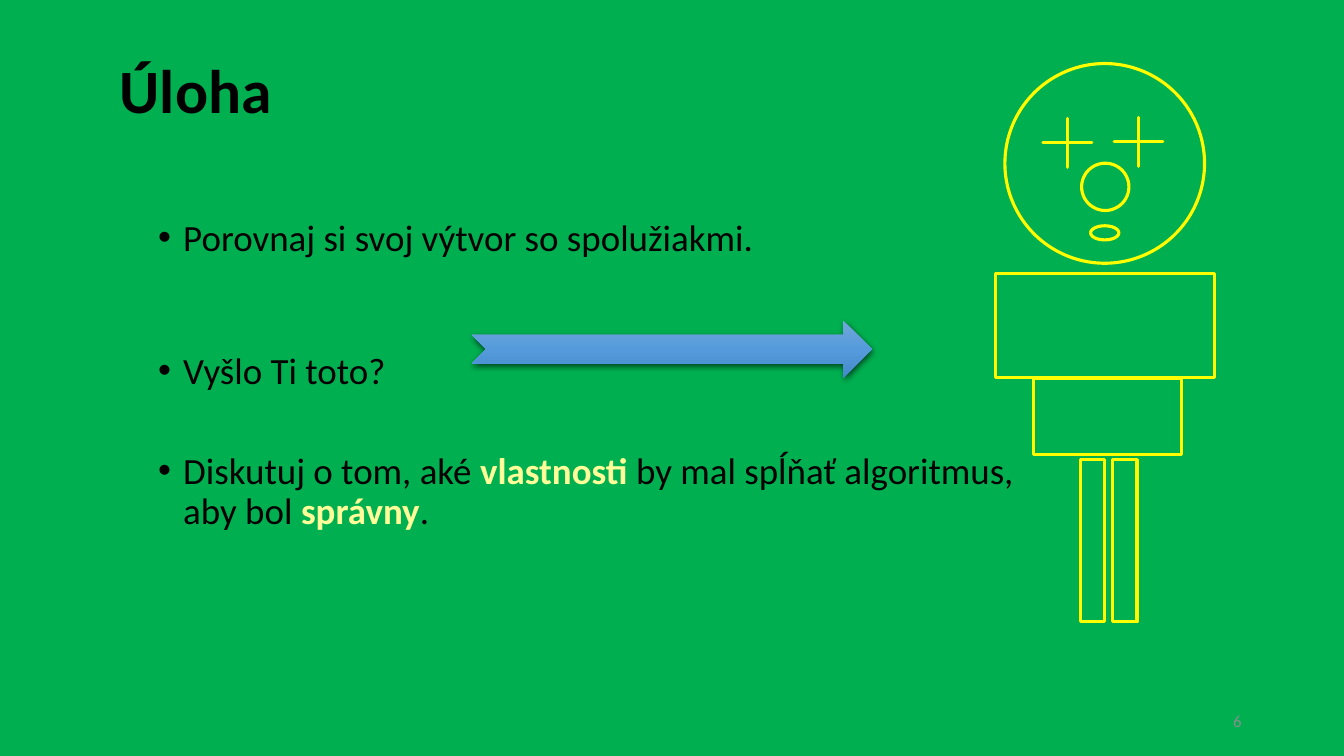
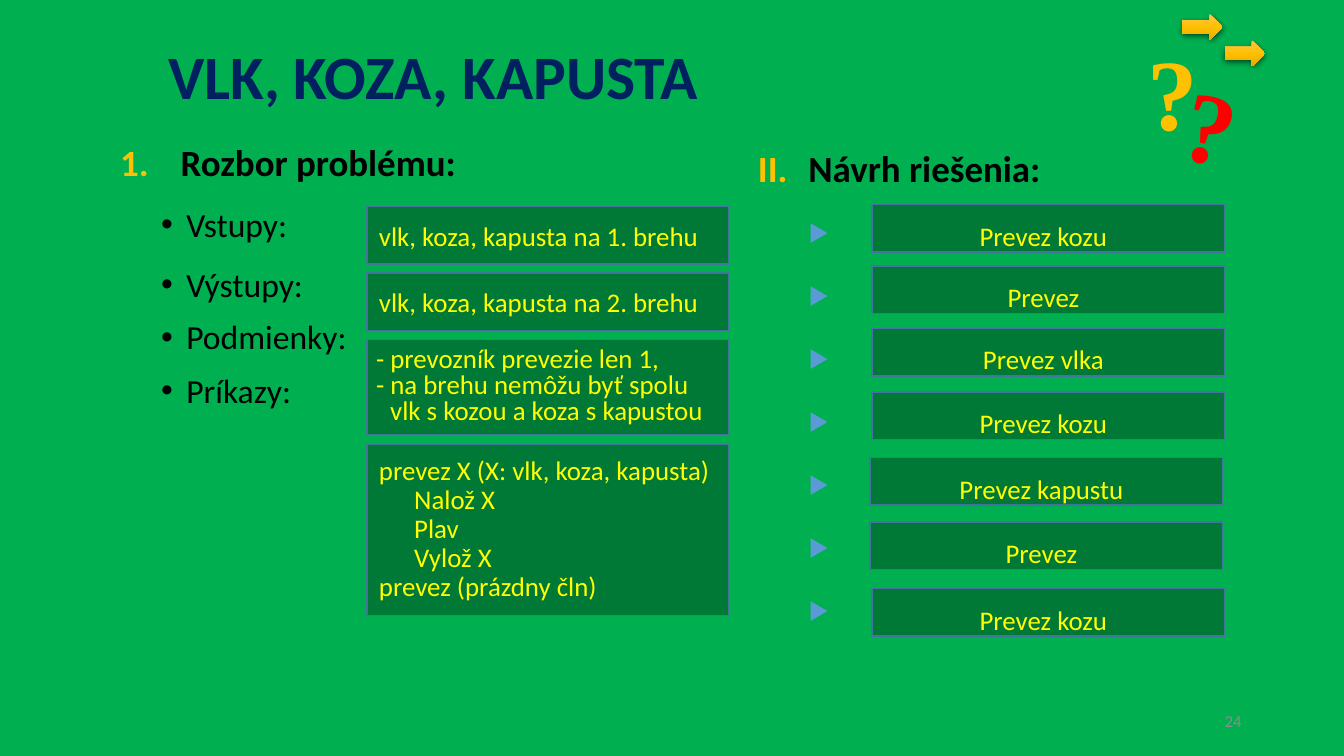
from copy import deepcopy

from pptx import Presentation
from pptx import util as u
from pptx.dml.color import RGBColor
from pptx.enum import shapes, text
from pptx.oxml import ns, xmlchemy

GREEN = RGBColor(0x00, 0xB0, 0x50)
BLACK = RGBColor(0x00, 0x00, 0x00)
NAVY = RGBColor(0x00, 0x20, 0x60)
GREY = RGBColor(0x8C, 0x8C, 0x8C)
YELLOW = RGBColor(0xFF, 0xFF, 0x00)
PALE = RGBColor(0xFF, 0xFF, 0x99)
AMBER = RGBColor(0xFF, 0xC0, 0x00)
RED = RGBColor(0xFF, 0x00, 0x00)
BLUE = RGBColor(0x5B, 0x9B, 0xD5)
FRAME = RGBColor(0x43, 0x73, 0x9E)
BLUE_FADE = [RGBColor(0x71, 0xA6, 0xDB), RGBColor(0x55, 0x9B, 0xDB), RGBColor(0x44, 0x8A, 0xCA)]
AMBER_FADE = [RGBColor(0xFF, 0xC6, 0x4B), AMBER, RGBColor(0xE3, 0xAB, 0x00)]

FORM = shapes.MSO_SHAPE
MIDDLE = text.MSO_ANCHOR.MIDDLE
TOP = text.MSO_ANCHOR.TOP
LEFT = text.PP_ALIGN.LEFT
CENTER = text.PP_ALIGN.CENTER
RIGHT = text.PP_ALIGN.RIGHT
INSETS = (7.2, 3.6, 7.2, 3.6)


def child(parent, tag, **values):
    element = xmlchemy.OxmlElement(tag)
    for name, value in values.items():
        element.set(name, str(value))
    parent.append(element)
    return element


def apply(target, values):
    for name, value in values.items():
        setattr(target, name, value)


class Slides:
    """Holds the deck, its style and the slide being drawn."""

    def __init__(self):
        self.deck = Presentation()
        apply(self.deck, {"slide_width": u.Pt(960), "slide_height": u.Pt(540)})
        self.slide = None

    def start(self, title, number, title_at, color):
        self.slide = self.deck.slides.add_slide(self.deck.slide_layouts[6])
        fill = self.slide.background.fill
        fill.solid()
        fill.fore_color.rgb = GREEN
        self.text(title_at, [self.para(title, size=44, color=color, bold=True, line_spacing=0.9)], MIDDLE)
        self.text((678, 500.4, 216, 28.8), [self.para(number, size=12, color=GREY, alignment=RIGHT)], MIDDLE)

    def para(self, spans, size, color=BLACK, bold=False, font="Calibri",
             bullet=None, indent=(0, 0), tab=None, **layout):
        spans = [(spans, {})] if isinstance(spans, str) else spans
        return {"spans": spans, "font": {"size": u.Pt(size), "bold": bold, "name": font},
                "color": color, "bullet": bullet, "indent": indent, "tab": tab,
                "layout": {"alignment": LEFT, **layout}}

    def fill_text(self, box, paras, anchor, insets=INSETS):
        frame = box.text_frame
        sides = ("margin_left", "margin_top", "margin_right", "margin_bottom")
        apply(frame, {"word_wrap": True, "vertical_anchor": anchor,
                      **dict(zip(sides, map(u.Pt, insets)))})
        for index, values in enumerate(paras):
            para = frame.add_paragraph() if index else frame.paragraphs[0]
            self.mark(para, values)
            apply(para, values["layout"])
            for words, changes in values["spans"]:
                if words == "\n":
                    para.add_line_break()
                    continue
                span = para.add_run()
                span.text = words
                changes = {"color": values["color"], **changes}
                span.font.color.rgb = changes.pop("color")
                apply(span.font, {**values["font"], **changes})

    def mark(self, para, values):
        props = para._p.get_or_add_pPr()
        left, first = values["indent"]
        props.set("marL", str(u.Pt(left)))
        props.set("indent", str(u.Pt(first)))
        if values["bullet"] == "1.":
            child(child(props, "a:buClr"), "a:srgbClr", val=AMBER)
            child(props, "a:buFont", typeface="+mj-lt")
            child(props, "a:buAutoNum", type="arabicPeriod")
        elif values["bullet"]:
            child(props, "a:buFont", typeface="Arial")
            child(props, "a:buChar", char=values["bullet"])
        if values["tab"]:
            child(child(props, "a:tabLst"), "a:tab", pos=u.Pt(values["tab"]), algn="l")

    def text(self, at, paras, anchor=TOP, insets=INSETS, rotation=0):
        box = self.slide.shapes.add_textbox(*map(u.Pt, at))
        box.rotation = rotation
        self.fill_text(box, paras, anchor, insets)

    def shape(self, form, at, fill=None, line=None, width=1, rotation=0):
        box = self.slide.shapes.add_shape(form, *map(u.Pt, at))
        box.shadow.inherit = False
        box.rotation = rotation
        for paint, color in ((box.fill, fill), (box.line.fill, line)):
            if color is None:
                paint.background()
            else:
                paint.solid()
                paint.fore_color.rgb = color
        if line is not None:
            box.line.width = u.Pt(width)
        return box

    def outline(self, form, at):
        box = self.shape(form, at, line=YELLOW, width=2.25)
        if form == FORM.MATH_PLUS:
            box.adjustments[0] = 0

    def panel(self, at, paras, insets):
        box = self.shape(FORM.RECTANGLE, at, BLACK, FRAME)
        props = box._element.spPr
        color = props.find(ns.qn("a:solidFill")).find(ns.qn("a:srgbClr"))
        child(color, "a:alpha", val=31000)
        self.fill_text(box, paras, MIDDLE, insets)

    def arrow(self, form, at, fade):
        box = self.shape(form, at)
        box.fill.gradient()
        box.fill.gradient_angle = 270
        props = box._element.spPr
        stops = props.find(".//" + ns.qn("a:gsLst"))
        stops.append(deepcopy(stops[-1]))
        for index, stop in enumerate(box.fill.gradient_stops):
            stop.color.rgb = fade[index]
            stop.position = index / 2
        shadow = child(props.find(ns.qn("a:effectLst")), "a:outerShdw", blurRad=u.Pt(4.5),
                       dist=u.Pt(1.5), dir=5400000, algn="ctr", rotWithShape=0)
        child(child(shadow, "a:srgbClr", val=BLACK), "a:alpha", val=63000)


def draw_task(show):
    show.start("Úloha", "6", (78.5, 21.6, 789, 90), BLACK)
    strong = {"color": PALE, "bold": True}
    bullet = {"size": 26.4, "bullet": "•", "indent": (18, -18)}
    closing = [("Diskutuj o tom, aké ", {}), ("vlastnosti ", strong),
               ("by mal spĺňať algoritmus, ", {}), ("\n", {}),
               ("aby bol ", {}), ("správny", strong), (".", {})]
    show.text((105.8, 86.4, 735, 319.7), [
        show.para("Porovnaj si svoj výtvor so spolužiakmi.", line_spacing=3.0, **bullet),
        show.para("Vyšlo Ti toto?", line_spacing=3.0, **bullet),
        show.para(closing, line_spacing=0.9, space_before=u.Pt(43.2), **bullet),
    ])
    figure = [
        (FORM.OVAL, [(717.8, 45.4, 142.6, 142.6), (772.6, 116.6, 33.8, 33.8), (779, 161.3, 20.2, 10.1)]),
        (FORM.MATH_PLUS, [(738.7, 78.3, 47.5, 47.5), (789.5, 77.6, 47.5, 47.5)]),
        (FORM.RECTANGLE, [(711.4, 195.1, 156.2, 74.9), (738.4, 270, 105.5, 54.7),
                          (771.8, 328.3, 17.3, 115.9), (794.9, 328.3, 17.3, 115.9)]),
    ]
    for form, places in figure:
        for at in places:
            show.outline(form, at)
    show.arrow(FORM.NOTCHED_RIGHT_ARROW, (337, 229, 285.8, 41), BLUE_FADE)


def draw_crossing(show):
    show.start("VLK, KOZA, KAPUSTA", "24", (113, 11.5, 734.4, 90), NAVY)
    point = {"size": 24, "bullet": "•", "indent": (54, -18), "space_before": u.Pt(5)}
    after = {"space_after": u.Pt(7.2)}
    show.text((72, 100.1, 278.6, 293.8), [
        show.para("Rozbor problému:", size=26.4, bold=True, bullet="1.", indent=(50, -43.2), line_spacing=0.9),
        show.para("Vstupy:", line_spacing=1.3, **point),
        show.para("Výstupy:", line_spacing=1.3, **point, **after),
        show.para("Podmienky:", line_spacing=0.9, **point, **after),
        show.para("Príkazy:", line_spacing=0.9, **point, **after),
    ])
    analysis = [
        (147.6, 41, 1.0, [("vlk, koza, kapusta na 1. brehu", (8.6, 0))]),
        (195.1, 41, 1.0, [("vlk, koza, kapusta na 2. brehu", (8.6, 0))]),
        (242.6, 67.7, 0.8, [("- prevozník prevezie len 1,", (6.5, 0)),
                            ("- na brehu nemôžu byť spolu vlk s kozou a koza s kapustou", (16.6, -10.1))]),
        (317.5, 122.4, 0.9, [("prevez X (X: vlk, koza, kapusta)", (8.6, 0)), ("Nalož X", (33.8, 0)),
                             ("Plav", (33.8, 0)), ("Vylož X", (33.8, 0)),
                             ("prevez (prázdny čln)", (8.6, 0))]),
    ]
    for top, height, spacing, lines in analysis:
        paras = [show.para(words, size=19.2, color=YELLOW, indent=indent, line_spacing=spacing)
                 for words, indent in lines]
        show.panel((262.1, top, 258.5, height), paras, (0, 3.6, 10, 3.6))
    show.text((541.4, 100, 306, 42), [
        show.para([("II.\t", {"color": AMBER}), ("Návrh riešenia:", {})], size=26.4, bold=True, tab=105.8),
    ], insets=(0, 4.3, 0, 4.3))
    steps = [
        (622.8, 146.2, "Prevez kozu"), (622.8, 190.1, "Prevez"), (622.8, 234.7, "Prevez vlka"),
        (622.8, 280.1, "Prevez kozu"), (621.4, 326.9, "Prevez kapustu"), (621.4, 373, "Prevez"),
        (622.8, 420.5, "Prevez kozu"),
    ]
    for index, (left, top, words) in enumerate(steps):
        show.shape(FORM.ISOSCELES_TRIANGLE, (578, 160.5 + 45 * index, 14, 12), BLUE, rotation=90)
        label = show.para(words, size=19.2, color=YELLOW, alignment=CENTER)
        show.panel((left, top, 252, 33.8), [label], (0, 10, 7, 0))
    for left, top, color, rotation in ((812.9, 18, AMBER, 0), (840.2, 40.3, RED, 13)):
        mark = show.para("?", size=72, color=color, bold=True, font="Times New Roman")
        show.text((left, top, 34.6, 94.3), [mark], rotation=rotation)
    for left, top in ((874.8, 28.8), (844.6, 10.1)):
        show.arrow(FORM.RIGHT_ARROW, (left, top, 28.8, 18.7), AMBER_FADE)


def main():
    show = Slides()
    draw_task(show)
    draw_crossing(show)
    show.deck.save("out.pptx")


if __name__ == "__main__":
    main()
